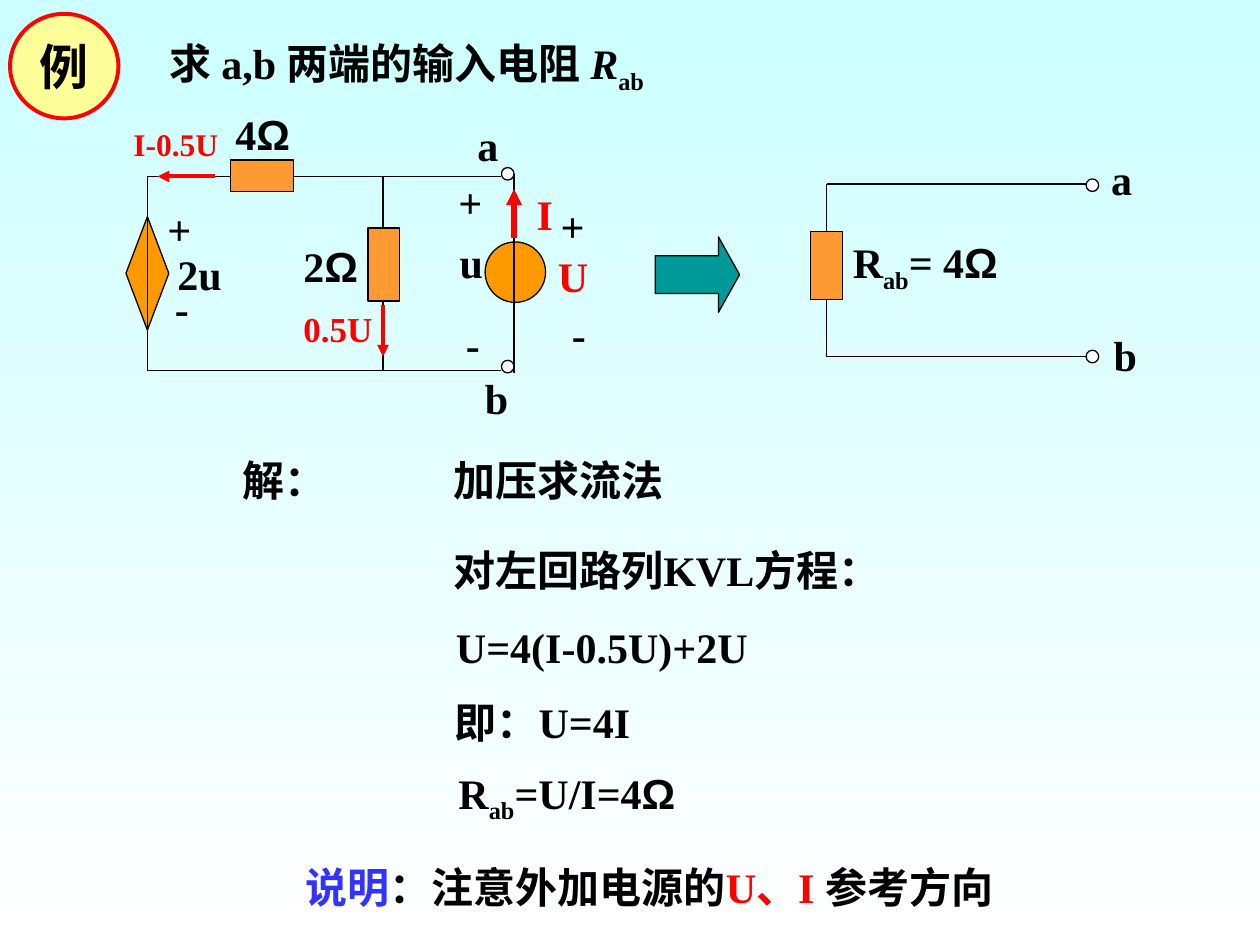
from dataclasses import dataclass

from lxml.etree import SubElement
from pptx import Presentation
from pptx.dml.color import RGBColor
from pptx.enum.shapes import MSO_CONNECTOR, MSO_SHAPE
from pptx.enum.text import MSO_ANCHOR, MSO_AUTO_SIZE, PP_ALIGN
from pptx.oxml.ns import qn
from pptx.util import Inches, Pt


@dataclass(frozen=True)
class Theme:
    black: str = "000000"
    red: str = "FF0000"
    blue: str = "3333FF"
    white: str = "FFFFFF"
    sky: str = "CCFFFF"
    source: str = "FF9900"
    resistor: str = "FF9933"
    arrow: str = "009999"
    badge: str = "FFFF99"
    font: str = "Times New Roman"
    symbol_font: str = "Arial"
    badge_size: float = 28
    body_size: float = 24
    current_size: float = 20
    small_size: float = 18
    thin: float = 0.75
    medium: float = 2.25
    thick: float = 3


THEME = Theme()
COLUMNS, ROWS = 100, 75
WIDTH, HEIGHT = Inches(10), Inches(7.5)
TERMINAL = 1
SUBSCRIPT = {"baseline": "-25000"}
OHM = ("Ω", {"name": THEME.symbol_font})
RESISTANCE = [("R", {}), ("ab", SUBSCRIPT)]


def across(columns):
    return round(WIDTH * columns / COLUMNS)


def down(rows):
    return round(HEIGHT * rows / ROWS)


def box(left, top, width, height):
    return across(left), down(top), across(width), down(height)


def paint_background(slide):
    fill = slide.background.fill
    fill.gradient()
    fill.gradient_angle = 270
    for stop, color in zip(fill.gradient_stops, (THEME.sky, THEME.white)):
        stop.color.rgb = RGBColor.from_string(color)


def write(paragraph, runs, size, color):
    for text, changes in runs:
        run = paragraph.add_run()
        run.text = text
        formats = {"name": THEME.font, "size": Pt(size), "bold": True, "color": color} | changes
        run.font.color.rgb = RGBColor.from_string(formats.pop("color"))
        baseline = formats.pop("baseline", None)
        if baseline:
            run._r.get_or_add_rPr().set("baseline", baseline)
        for attribute, value in formats.items():
            setattr(run.font, attribute, value)


def add_label(slide, left, top, width, content, height=5, size=THEME.body_size, color=THEME.black):
    frame = slide.shapes.add_textbox(*box(left, top, width, height)).text_frame
    formats = {"word_wrap": True, "auto_size": MSO_AUTO_SIZE.SHAPE_TO_FIT_TEXT}
    for attribute, value in formats.items():
        setattr(frame, attribute, value)
    runs = [(content, {})] if isinstance(content, str) else content
    write(frame.paragraphs[0], runs, size, color)


def add_part(slide, kind, bounds, fill, line=THEME.black, weight=THEME.thin):
    shape = slide.shapes.add_shape(kind, *box(*bounds))
    shape.shadow.inherit = False
    shape.fill.solid()
    shape.fill.fore_color.rgb = RGBColor.from_string(fill)
    shape.line.color.rgb = RGBColor.from_string(line)
    shape.line.width = Pt(weight)
    return shape


def add_wire(slide, start, end, color=THEME.black, weight=THEME.thin, arrow=False):
    (x1, y1), (x2, y2) = start, end
    wire = slide.shapes.add_connector(
        MSO_CONNECTOR.STRAIGHT, across(x1), down(y1), across(x2), down(y2))
    wire.line.color.rgb = RGBColor.from_string(color)
    wire.line.width = Pt(weight)
    if arrow:
        SubElement(wire.line._get_or_add_ln(), qn("a:tailEnd"), type="triangle")
    SubElement(wire._element.spPr, qn("a:effectLst"))


def add_loop(slide, left, right, top, bottom):
    add_wire(slide, (left, top), (left, bottom))
    for level in (top, bottom):
        add_wire(slide, (left, level), (right, level))


def add_terminals(slide, left, tops):
    for top in tops:
        add_part(slide, MSO_SHAPE.OVAL, (left, top, TERMINAL, TERMINAL), THEME.white)


def add_resistor(slide, *bounds):
    add_part(slide, MSO_SHAPE.RECTANGLE, bounds, THEME.resistor)


def draw_heading(slide):
    badge = add_part(slide, MSO_SHAPE.OVAL, (0.8, 1.1, 8.6, 8.3),
                     THEME.badge, THEME.red, THEME.medium)
    frame = badge.text_frame
    for attribute, value in {"word_wrap": False, "vertical_anchor": MSO_ANCHOR.MIDDLE}.items():
        setattr(frame, attribute, value)
    frame.paragraphs[0].alignment = PP_ALIGN.CENTER
    write(frame.paragraphs[0], [("例", {})], THEME.badge_size, THEME.black)
    title = [("求 a,b 两端的输入电阻 ", {}), ("R", {"italic": True}), ("ab", SUBSCRIPT)]
    add_label(slide, 12.5, 2.5, 51.7, title, height=5.6)


def draw_circuit(slide):
    left, branch, source, top, bottom = 11.7, 30.4, 40.8, 14, 29.4
    add_part(slide, MSO_SHAPE.FLOWCHART_DECISION, (left - 1.7, 17.2, 3.4, 9), THEME.source)
    add_loop(slide, left, 39.8, top, bottom)
    add_terminals(slide, 39.8, (13.3, 28.6))
    add_wire(slide, (branch, top), (branch, bottom))
    add_resistor(slide, 18.3, 12.7, 5, 2.5)
    add_resistor(slide, 29.2, 18.1, 2.5, 5.8)
    add_part(slide, MSO_SHAPE.OVAL, (38.5, 19.2, 4.8, 4.8), THEME.source)
    add_wire(slide, (source, 13.8), (source, 29.6))

    for x, y, width, content in (
        (36.9, 9, 7.7, "a"), (37.5, 29.1, 7.7, "b"),
        (17.7, 8.1, 7.7, [("4", {}), OHM]), (23.1, 18.6, 7.7, [("2", {}), OHM]),
        (12.3, 15.7, 5, "+"), (13.1, 19.2, 10, "2u"), (12.9, 21.9, 5, "-"),
        (35.4, 13.5, 7.7, "+"), (35.5, 18.3, 7.7, "u"), (36, 24.8, 7.7, "-"),
        (43.5, 15.4, 5.2, "+"), (44.4, 24, 5.2, "-"),
    ):
        add_label(slide, x, y, width, content)

    for start, end, weight in (
        ((source, 18.9), (source, 15), THEME.thick),
        ((branch, 24.2), (branch, 28.3), THEME.medium),
        ((17.1, top), (12.5, top), THEME.medium),
    ):
        add_wire(slide, start, end, THEME.red, weight, arrow=True)

    for x, y, width, height, content, size in (
        (43.3, 19.4, 5.2, 5, "U", THEME.body_size),
        (41.6, 14.5, 6.5, 5, "I", THEME.body_size),
        (23.1, 23.9, 9.8, 4.4, "0.5U", THEME.current_size),
        (9.6, 9.4, 11.5, 4, "I-0.5U", THEME.small_size),
    ):
        add_label(slide, x, y, width, content, height, size, THEME.red)


def draw_equivalent(slide):
    arrow = add_part(slide, MSO_SHAPE.RIGHT_ARROW, (52, 18.8, 6.7, 6), THEME.arrow)
    arrow.adjustments[1] = 0.28
    add_loop(slide, 65.6, 86.5, 14.6, 28.3)
    add_terminals(slide, 86.2, (14.2, 27.8))
    add_resistor(slide, 64.35, 18.35, 2.5, 5.4)
    add_label(slide, 87.2, 11.7, 6.5, "a")
    add_label(slide, 87.4, 25.7, 6.5, "b")
    add_label(slide, 66.7, 18.3, 15.4, RESISTANCE + [("= 4", {}), OHM], height=5.6)


def draw_solution(slide):
    for x, y, width, content in (
        (18.3, 35.6, 11.9, "解："),
        (35, 35.6, 26.7, "加压求流法"),
        (35, 42.7, 41.7, "对左回路列KVL方程："),
        (35.2, 48.8, 33.1, "U=4(I-0.5U)+2U"),
        (35.1, 54.8, 33.1, "即：U=4I"),
        (35.4, 60.4, 21.9, RESISTANCE + [("=U/I=4", {}), OHM]),
        (23.3, 67.9, 63.7, [("说明", {"color": THEME.blue}), ("：注意外加电源的", {}),
                            ("U、I ", {"color": THEME.red}), ("参考方向", {})]),
    ):
        add_label(slide, x, y, width, content)


def main():
    presentation = Presentation()
    presentation.slide_width, presentation.slide_height = WIDTH, HEIGHT
    slide = presentation.slides.add_slide(presentation.slide_layouts[6])
    paint_background(slide)
    for draw in (draw_heading, draw_circuit, draw_equivalent, draw_solution):
        draw(slide)
    presentation.save("out.pptx")


if __name__ == "__main__":
    main()
